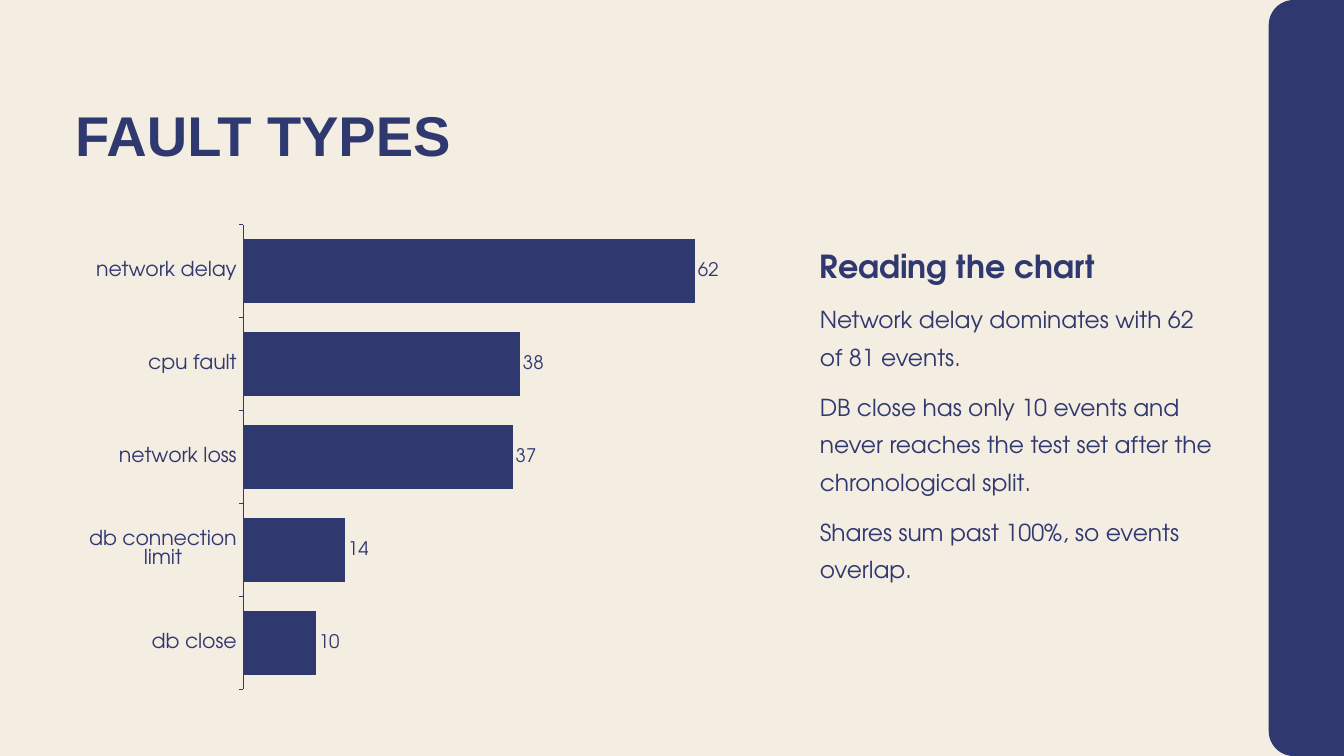
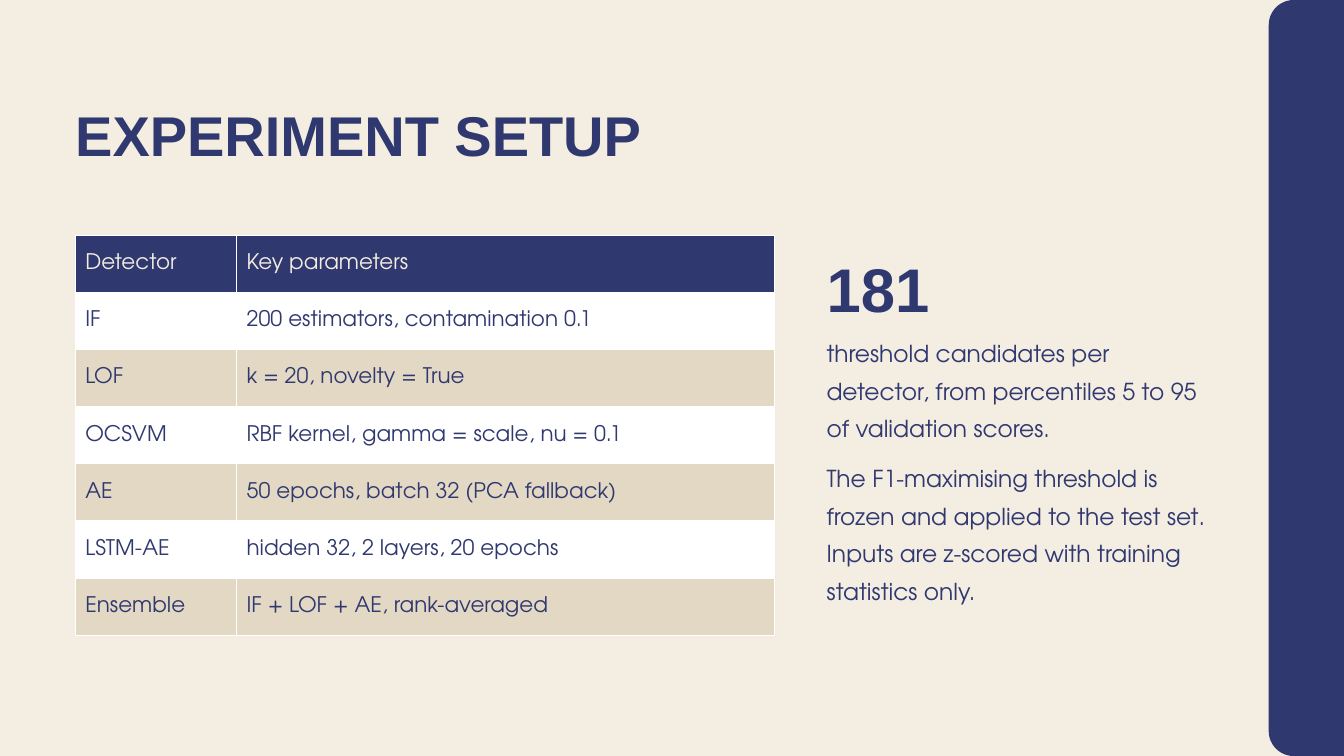
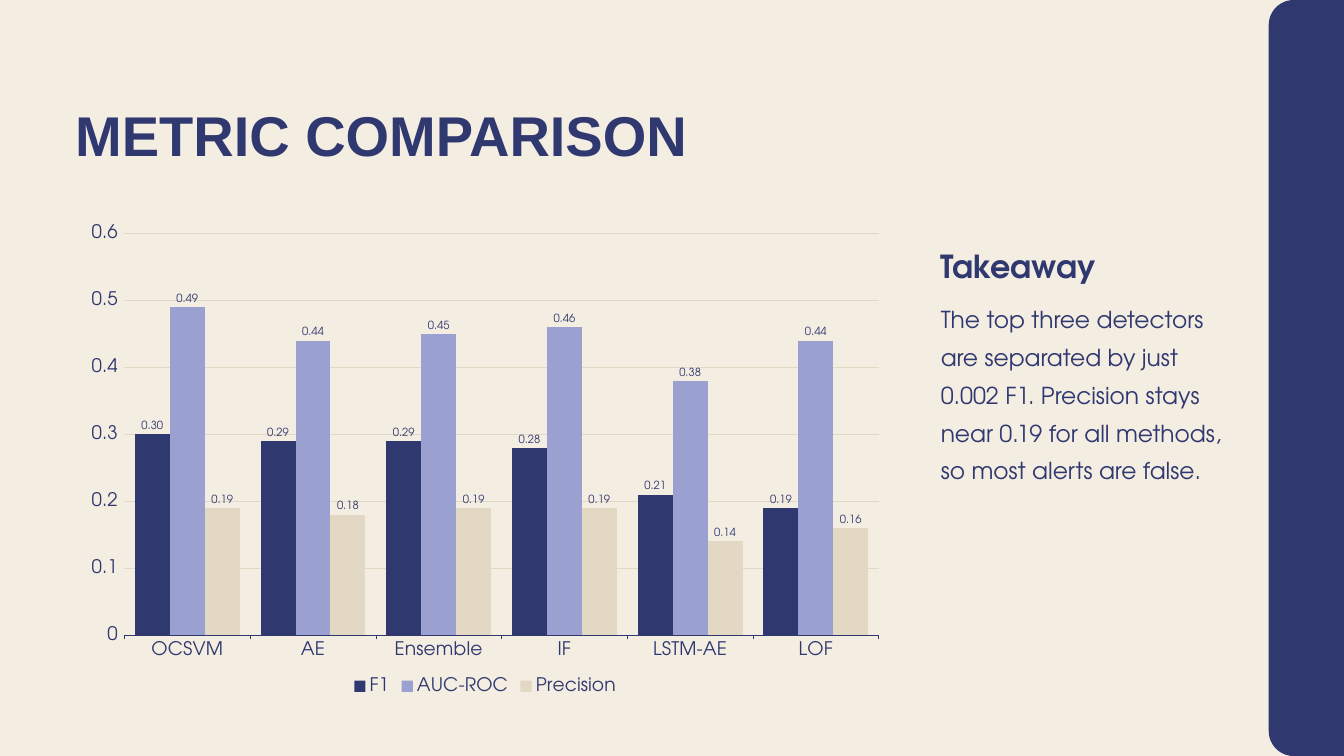
from pptx import Presentation
from pptx.chart.data import CategoryChartData
from pptx.dml.color import RGBColor
from pptx.enum.chart import XL_CHART_TYPE, XL_LABEL_POSITION, XL_LEGEND_POSITION, XL_TICK_MARK
from pptx.enum.shapes import MSO_SHAPE
from pptx.enum.text import MSO_ANCHOR, MSO_AUTO_SIZE
from pptx.util import Emu, Pt

EMU_PER_PX = 9144  # 100 px to the inch
SLIDE_WIDTH, SLIDE_HEIGHT = 2000, 1125
MARGIN = 112
BAND_LEFT, BAND_WIDTH, BAND_RADIUS = 1888, 338, 37

NAVY, CREAM, SAND = "303870", "F4EDE2", "E3D8C4"
PERIWINKLE, WHITE = "9AA0CF", "FFFFFF"
TITLE_FONT, BODY_FONT = "Arial", "TeX Gyre Adventor"

FAULT_COUNTS = {
    "network delay": 62,
    "cpu fault": 38,
    "network loss": 37,
    "db connection limit": 14,
    "db close": 10,
}
FAULT_NOTES = [
    "Network delay dominates with 62 of 81 events.",
    "DB close has only 10 events and never reaches the test set after the chronological split.",
    "Shares sum past 100%, so events overlap.",
]
DETECTOR_ROWS = [
    ("Detector", "Key parameters"),
    ("IF", "200 estimators, contamination 0.1"),
    ("LOF", "k = 20, novelty = True"),
    ("OCSVM", "RBF kernel, gamma = scale, nu = 0.1"),
    ("AE", "50 epochs, batch 32 (PCA fallback)"),
    ("LSTM-AE", "hidden 32, 2 layers, 20 epochs"),
    ("Ensemble", "IF + LOF + AE, rank-averaged"),
]
THRESHOLD_NOTES = [
    "threshold candidates per detector, from percentiles 5 to 95 of validation scores.",
    "The F1-maximising threshold is frozen and applied to the test set. "
    "Inputs are z-scored with training statistics only.",
]
DETECTORS = ["OCSVM", "AE", "Ensemble", "IF", "LSTM-AE", "LOF"]
METRICS = {
    "F1": [0.30, 0.29, 0.29, 0.28, 0.21, 0.19],
    "AUC-ROC": [0.49, 0.44, 0.45, 0.46, 0.38, 0.44],
    "Precision": [0.19, 0.18, 0.19, 0.19, 0.14, 0.16],
}
TAKEAWAY = [
    "The top three detectors are separated by just 0.002 F1. "
    "Precision stays near 0.19 for all methods, so most alerts are false."
]


def px(length):
    return Emu(length * EMU_PER_PX)


def px_box(box):
    return [px(length) for length in box]


def color(value):
    return RGBColor.from_string(value)


def fill_solid(target, value):
    target.fill.solid()
    target.fill.fore_color.rgb = color(value)


def style_font(font, size, name=BODY_FONT, ink=NAVY, bold=False):
    font.size = Pt(size)
    font.name = name
    font.bold = bold
    font.color.rgb = color(ink)


def add_text(slide, box, paragraphs, line_spacing=1.35, gap=0, **font_format):
    frame = slide.shapes.add_textbox(*px_box(box)).text_frame
    frame.word_wrap = True
    frame.auto_size = MSO_AUTO_SIZE.SHAPE_TO_FIT_TEXT
    frame.margin_left = frame.margin_top = frame.margin_right = frame.margin_bottom = 0
    for index, text in enumerate(paragraphs):
        paragraph = frame.add_paragraph() if index else frame.paragraphs[0]
        paragraph.line_spacing = line_spacing
        if index and gap:
            paragraph.space_before = Pt(gap)
        run = paragraph.add_run()
        run.text = text
        style_font(run.font, **font_format)


def add_base_slide(presentation, title):
    """Add a slide with the shared background, side band and title."""
    slide = presentation.slides.add_slide(presentation.slide_layouts[6])
    fill_solid(slide.background, CREAM)
    band = slide.shapes.add_shape(
        MSO_SHAPE.ROUNDED_RECTANGLE, *px_box((BAND_LEFT, 0, BAND_WIDTH, SLIDE_HEIGHT))
    )
    band.adjustments[0] = BAND_RADIUS / BAND_WIDTH
    band.shadow.inherit = False
    fill_solid(band, NAVY)
    band.line.fill.background()
    add_text(slide, (MARGIN, 145, 1600, 130), [title],
             line_spacing=1.05, size=60, name=TITLE_FONT, bold=True)
    return slide


def add_side_notes(slide, box, heading, notes, notes_offset=90, **heading_format):
    """Put a bold heading at the top of the box and its notes below."""
    left, top, width, height = box
    add_text(slide, (left, top, width, 60), [heading],
             line_spacing=1.3, bold=True, **heading_format)
    add_text(slide, (left, top + notes_offset, width, height - notes_offset), notes,
             gap=12.5, size=25)


def add_bar_chart(slide, box, chart_type, categories, series_values, fills,
                  size, label_size, label_format, gap_width):
    data = CategoryChartData()
    data.categories = categories
    for name, values in series_values.items():
        data.add_series(name, values)
    chart = slide.shapes.add_chart(chart_type, *px_box(box), data).chart
    style_font(chart.font, size)
    chart.has_title = False
    chart.has_legend = False

    plot = chart.plots[0]
    plot.vary_by_categories = False
    plot.gap_width = gap_width
    for series, fill in zip(plot.series, fills):
        fill_solid(series.format, fill)
        labels = series.data_labels
        labels.show_value = True
        labels.number_format = label_format
        labels.number_format_is_linked = False
        labels.position = XL_LABEL_POSITION.OUTSIDE_END
        style_font(labels.font, label_size)

    axis = chart.category_axis
    axis.major_tick_mark = XL_TICK_MARK.OUTSIDE
    axis.format.line.color.rgb = color(NAVY)
    axis.format.line.width = Pt(0.75)
    return chart


def add_detector_table(slide, left, top, column_widths, row_height):
    box = (left, top, sum(column_widths), row_height * len(DETECTOR_ROWS))
    table = slide.shapes.add_table(
        len(DETECTOR_ROWS), len(column_widths), *px_box(box)
    ).table
    table.horz_banding = False
    for column, width in zip(table.columns, column_widths):
        column.width = px(width)
    for row_index, texts in enumerate(DETECTOR_ROWS):
        table.rows[row_index].height = px(row_height)
        is_header = row_index == 0
        row_fill = NAVY if is_header else (SAND, WHITE)[row_index % 2]
        for column_index, text in enumerate(texts):
            cell = table.cell(row_index, column_index)
            fill_solid(cell, row_fill)
            cell.vertical_anchor = MSO_ANCHOR.MIDDLE
            cell.margin_left = cell.margin_right = px(15)
            cell.margin_top = cell.margin_bottom = px(5)
            run = cell.text_frame.paragraphs[0].add_run()
            run.text = text
            style_font(run.font, 23, ink=CREAM if is_header else NAVY)


def add_fault_slide(presentation):
    slide = add_base_slide(presentation, "FAULT TYPES")
    chart = add_bar_chart(
        slide, (MARGIN, 320, 1030, 720), XL_CHART_TYPE.BAR_CLUSTERED,
        list(FAULT_COUNTS), {"Series 1": list(FAULT_COUNTS.values())}, [NAVY],
        size=22, label_size=20, label_format="0", gap_width=45,
    )
    chart.category_axis.reverse_order = True
    chart.value_axis.visible = False
    chart.value_axis.has_major_gridlines = False
    add_side_notes(slide, (1220, 350, 590, 640), "Reading the chart", FAULT_NOTES, size=34)


def add_setup_slide(presentation):
    slide = add_base_slide(presentation, "EXPERIMENT SETUP")
    add_detector_table(slide, MARGIN, 350, (240, 800), 85)
    add_side_notes(slide, (1230, 340, 580, 650), "181", THRESHOLD_NOTES,
                   notes_offset=150, size=66, name=TITLE_FONT)


def add_metric_slide(presentation):
    slide = add_base_slide(presentation, "METRIC COMPARISON")
    chart = add_bar_chart(
        slide, (MARGIN, 320, 1220, 720), XL_CHART_TYPE.COLUMN_CLUSTERED,
        DETECTORS, METRICS, [NAVY, PERIWINKLE, SAND],
        size=20, label_size=12, label_format="0.00", gap_width=60,
    )
    axis = chart.value_axis
    axis.minimum_scale, axis.maximum_scale = 0, 0.6
    axis.major_tick_mark = XL_TICK_MARK.OUTSIDE
    axis.format.line.fill.background()
    axis.major_gridlines.format.line.color.rgb = color(SAND)
    axis.major_gridlines.format.line.width = Pt(0.75)
    chart.has_legend = True
    chart.legend.position = XL_LEGEND_POSITION.BOTTOM
    chart.legend.include_in_layout = False
    style_font(chart.legend.font, 20)
    add_side_notes(slide, (1400, 350, 420, 640), "Takeaway", TAKEAWAY, size=34)


def main():
    presentation = Presentation()
    presentation.slide_width = px(SLIDE_WIDTH)
    presentation.slide_height = px(SLIDE_HEIGHT)
    add_fault_slide(presentation)
    add_setup_slide(presentation)
    add_metric_slide(presentation)
    presentation.save("out.pptx")


if __name__ == "__main__":
    main()
